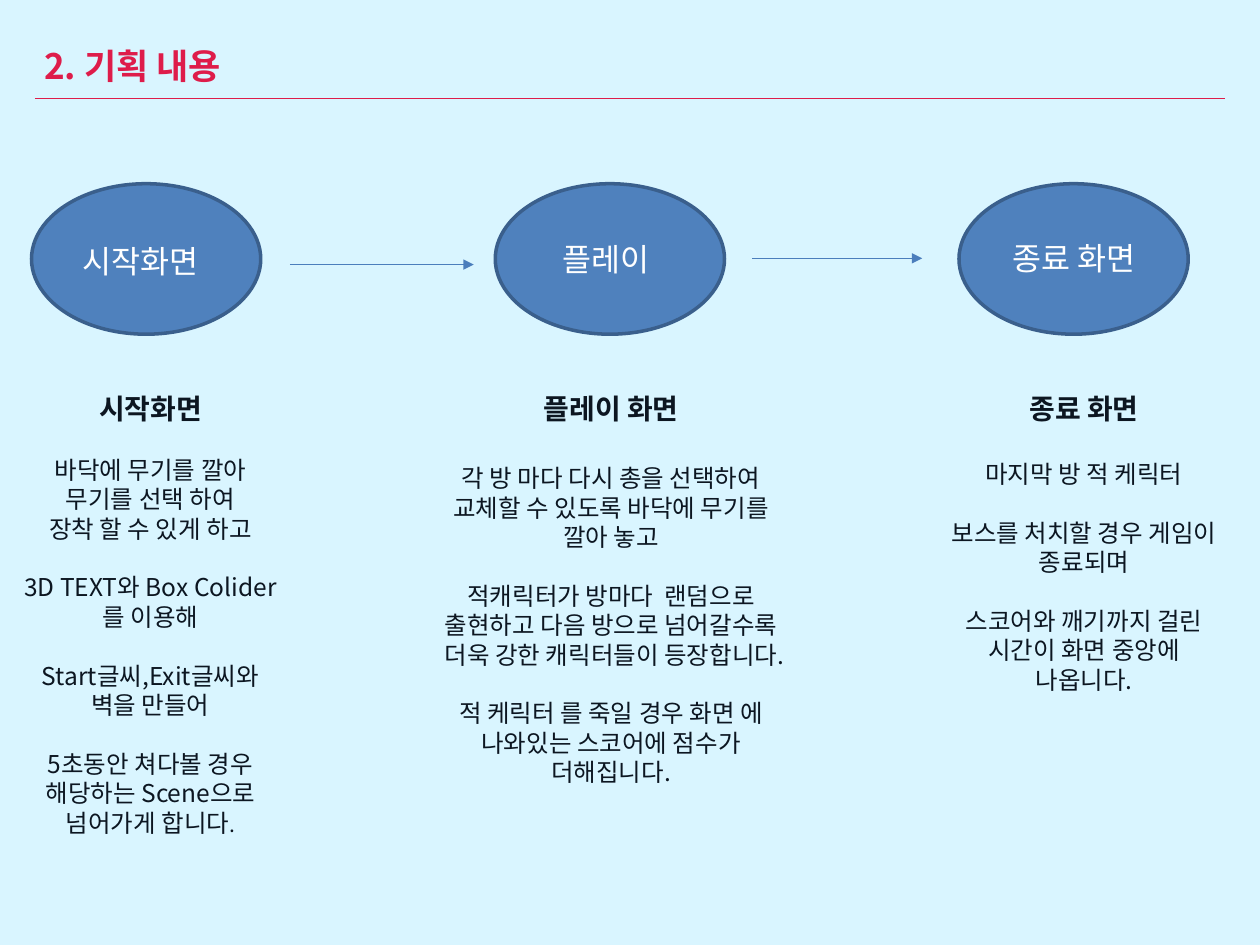
from dataclasses import dataclass

from lxml import etree
from pptx import Presentation
from pptx.dml.color import RGBColor
from pptx.enum.shapes import MSO_CONNECTOR, MSO_SHAPE
from pptx.enum.text import MSO_ANCHOR, MSO_AUTO_SIZE, PP_ALIGN
from pptx.oxml.ns import qn
from pptx.util import Pt

LEFT, CENTER = PP_ALIGN.LEFT, PP_ALIGN.CENTER
MIDDLE = MSO_ANCHOR.MIDDLE
NO_AUTOSIZE = MSO_AUTO_SIZE.NONE
STRAIGHT = MSO_CONNECTOR.STRAIGHT
OVAL = MSO_SHAPE.OVAL
TITLE_ONLY = 5


@dataclass(frozen=True)
class Theme:
    font: str = "Noto Sans CJK KR"
    background: str = "D9F5FF"
    accent: str = "DE1C4A"
    oval_fill: str = "4F81BD"
    oval_line: str = "3A5F8C"
    arrow: str = "4B7EBC"
    label: str = "FFFFFF"
    ink: str = "0C1621"
    title_size: int = 20
    label_size: int = 18
    heading_size: int = 16
    body_size: int = 14
    stop_size: int = 12
    line_height: float = 1.2


class SlideBuilder:
    def __init__(self, slide, theme):
        self.slide = slide
        self.theme = theme
        fill = slide.background.fill
        fill.solid()
        fill.fore_color.rgb = RGBColor.from_string(theme.background)

    def paragraph(self, paragraph, runs, color, bold=False, align=LEFT, before=0):
        """Fill a paragraph from (text, size) runs; the first size sets the line height."""
        paragraph.alignment = align
        paragraph.line_spacing = Pt(runs[0][1] * self.theme.line_height)
        paragraph.space_before = Pt(before)
        for text, size in runs:
            run = paragraph.add_run()
            run.text = text
            font = run.font
            font.name = self.theme.font
            font.size = Pt(size)
            font.bold = bold
            font.color.rgb = RGBColor.from_string(color)
            east_asian = etree.SubElement(font._element, qn("a:ea"))
            east_asian.set("typeface", self.theme.font)

    def title(self, text, left, top, width, height):
        title = self.slide.shapes.title
        title.left, title.top = Pt(left), Pt(top)
        title.width, title.height = Pt(width), Pt(height)
        frame = title.text_frame
        frame.auto_size = NO_AUTOSIZE
        frame.vertical_anchor = MIDDLE
        self.paragraph(frame.paragraphs[0], [(text, self.theme.title_size)],
                       self.theme.accent, bold=True)

    def line(self, start, end, color, weight, arrow=False):
        connector = self.slide.shapes.add_connector(
            STRAIGHT, *(Pt(value) for value in (*start, *end)))
        connector.line.color.rgb = RGBColor.from_string(color)
        connector.line.width = Pt(weight)
        if arrow:
            tail = etree.SubElement(connector.line._get_or_add_ln(), qn("a:tailEnd"))
            tail.set("type", "triangle")
        etree.SubElement(connector._element.spPr, qn("a:effectLst"))

    def oval(self, left, top, width, height):
        oval = self.slide.shapes.add_shape(
            OVAL, Pt(left), Pt(top), Pt(width), Pt(height))
        oval.shadow.inherit = False
        oval.fill.solid()
        oval.fill.fore_color.rgb = RGBColor.from_string(self.theme.oval_fill)
        oval.line.color.rgb = RGBColor.from_string(self.theme.oval_line)
        oval.line.width = Pt(2)

    def text_frame(self, left, top, width, height):
        box = self.slide.shapes.add_textbox(Pt(left), Pt(top), Pt(width), Pt(height))
        box.text_frame.word_wrap = True
        return box.text_frame

    def label(self, text, left, top, width):
        frame = self.text_frame(left, top, width, 28.8)
        self.paragraph(frame.paragraphs[0], [(text, self.theme.label_size)],
                       self.theme.label)

    def description(self, heading, groups, heading_gap, left, top, width, height):
        """Heading over groups of lines, with one line of space between groups."""
        theme = self.theme
        frame = self.text_frame(left, top, width, height)
        self.paragraph(frame.paragraphs[0], [(heading, theme.heading_size)],
                       theme.ink, bold=True, align=CENTER)
        gap = heading_gap
        for group in groups:
            for runs in group:
                self.paragraph(frame.add_paragraph(), runs, theme.ink,
                               align=CENTER, before=gap)
                gap = 0
            gap = theme.body_size * theme.line_height


def main():
    theme = Theme()
    deck = Presentation()
    deck.slide_width, deck.slide_height = Pt(720), Pt(540)
    slide = deck.slides.add_slide(deck.slide_layouts[TITLE_ONLY])
    builder = SlideBuilder(slide, theme)

    def lines(*texts):
        return [[(text, theme.body_size)] for text in texts]

    builder.line((20, 56), (700, 56), theme.accent, 0.5)
    builder.title("2. 기획 내용", 18, 21.6, 672.5, 31.7)

    for step in range(3):
        builder.oval(18 + 265 * step, 105, 131, 86)
    builder.line((165.6, 151.2), (270.7, 151.2), theme.arrow, 0.75, arrow=True)
    builder.line((429.8, 147.6), (527, 147.6), theme.arrow, 0.75, arrow=True)

    builder.label("시작화면", 40.3, 134.6, 104.4)
    builder.label("플레이", 314.6, 133.9, 80)
    builder.label("종료 화면", 571.7, 133.2, 96.5)

    start_groups = [
        lines("바닥에 무기를 깔아", "무기를 선택 하여", "장착 할 수 있게 하고"),
        lines("3D TEXT와 Box Colider", "를 이용해"),
        lines("Start글씨,Exit글씨와", "벽을 만들어"),
        [[("5초동안 쳐다볼 경우 해당하는 Scene으로 넘어가게 합니다", theme.body_size),
          (".", theme.stop_size)]],
    ]
    play_groups = [
        lines("각 방 마다 다시 총을 선택하여 교체할 수 있도록 바닥에 무기를 깔아 놓고"),
        lines("적캐릭터가 방마다  랜덤으로 출현하고 다음 방으로 넘어갈수록 "
              "더욱 강한 캐릭터들이 등장합니다."),
        lines("적 케릭터 를 죽일 경우 화면 에 나와있는 스코어에 점수가 더해집니다."),
    ]
    end_groups = [
        lines("마지막 방 적 케릭터"),
        lines("보스를 처치할 경우 게임이 종료되며"),
        lines("스코어와 깨기까지 걸린 시간이 화면 중앙에 나옵니다."),
    ]
    top = 220.3
    builder.description("시작화면", start_groups, 16.8, 0, top, 172, 307.4)
    builder.description("플레이 화면", play_groups, 21.6, 247, top, 204.5, 298)
    builder.description("종료 화면", end_groups, 19.2, 533.5, top, 172, 181.4)

    deck.save("out.pptx")


if __name__ == "__main__":
    main()
